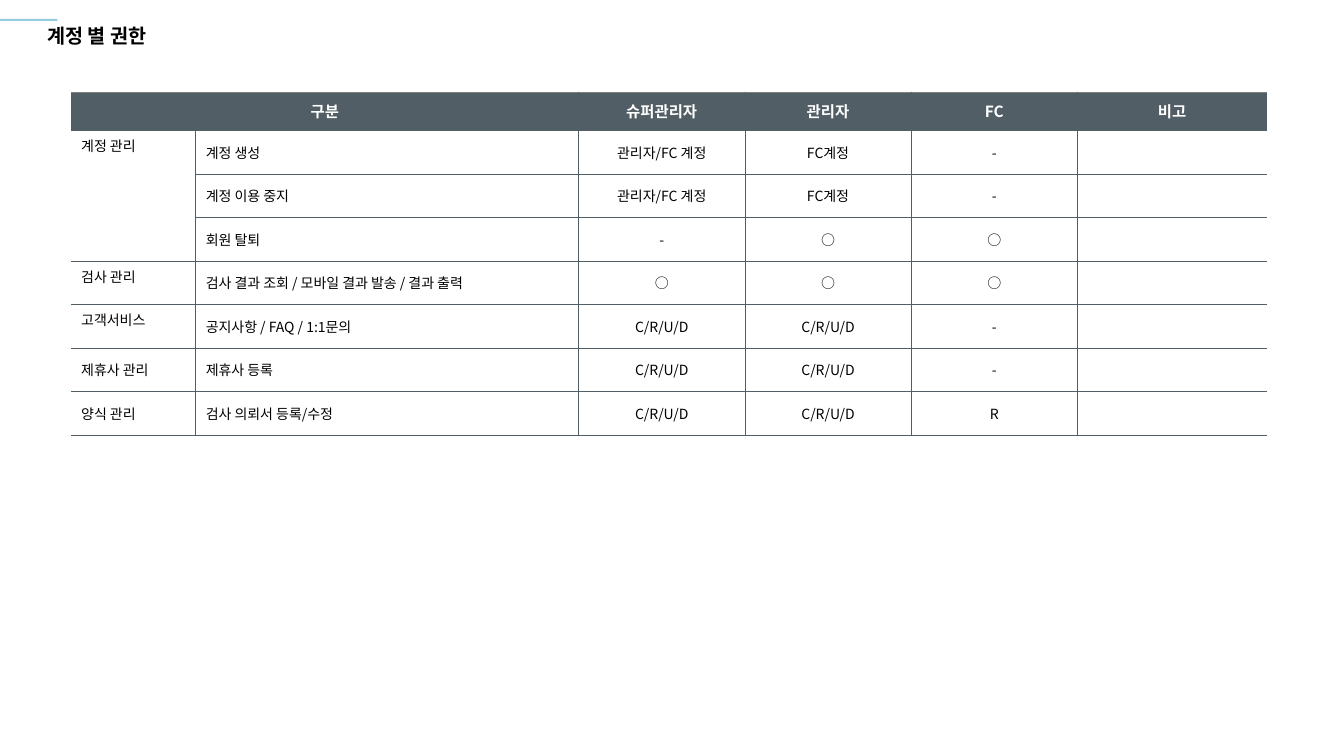
from lxml import etree
from pptx import Presentation
from pptx.dml.color import RGBColor
from pptx.enum.shapes import MSO_SHAPE
from pptx.enum.text import MSO_ANCHOR, PP_ALIGN
from pptx.oxml.ns import qn
from pptx.util import Pt

RECTANGLE = MSO_SHAPE.RECTANGLE
TOP, MIDDLE = MSO_ANCHOR.TOP, MSO_ANCHOR.MIDDLE
LEFT, CENTER = PP_ALIGN.LEFT, PP_ALIGN.CENTER

FONT = "Noto Sans CJK KR"
SLATE, GRAY, AQUA = "515E65", "808080", "93CDDD"
BLACK, WHITE = "000000", "FFFFFF"


def style_text(paragraph, size, color, bold, align):
    """Set the font, for Latin and Korean script, and the alignment."""
    paragraph.alignment = align
    font = paragraph.font
    font.name, font.size, font.bold = FONT, Pt(size), bold
    font.color.rgb = RGBColor.from_string(color)
    properties = paragraph._p.get_or_add_pPr().find(qn("a:defRPr"))
    east_asian = etree.Element(qn("a:ea"), typeface=FONT)
    properties.find(qn("a:latin")).addnext(east_asian)


def set_borders(cell, borders):
    """Draw the borders, given as (side, color, points); no color means none."""
    properties = cell._tc.get_or_add_tcPr()
    for position, (side, color, points) in enumerate(borders):
        line = etree.Element(qn("a:ln" + side), w=str(Pt(points)))
        if color:
            fill = etree.SubElement(line, qn("a:solidFill"))
            etree.SubElement(fill, qn("a:srgbClr"), val=color)
        else:
            etree.SubElement(line, qn("a:noFill"))
        properties.insert(position, line)


presentation = Presentation()
presentation.slide_width, presentation.slide_height = Pt(960), Pt(540)
slide = presentation.slides.add_slide(presentation.slide_layouts[5])

accent = slide.shapes.add_shape(RECTANGLE, 0, Pt(13.5), Pt(41), Pt(1.5))
accent.shadow.inherit = False
accent.fill.solid()
accent.fill.fore_color.rgb = RGBColor.from_string(AQUA)
accent.line.fill.background()

title = slide.shapes.title
title.left, title.top, title.width, title.height = Pt(26.6), Pt(15), Pt(902), Pt(23)
title.text_frame.text = "계정 별 권한"
title.text_frame.vertical_anchor = MIDDLE
title.text_frame.paragraphs[0].line_spacing = 0.9
style_text(title.text_frame.paragraphs[0], 14, BLACK, True, LEFT)

ACCOUNTS, CRUD, YES, NO = "관리자/FC 계정", "C/R/U/D", "○", "-"
permission_rows = [
    ["구분", "", "슈퍼관리자", "관리자", "FC", "비고"],
    ["계정 관리", "계정 생성", ACCOUNTS, "FC계정", NO, ""],
    ["", "계정 이용 중지", ACCOUNTS, "FC계정", NO, ""],
    ["", "회원 탈퇴", NO, YES, YES, ""],
    ["검사 관리", "검사 결과 조회 / 모바일 결과 발송 / 결과 출력", YES, YES, YES, ""],
    ["고객서비스", "공지사항 / FAQ / 1:1문의", CRUD, CRUD, NO, ""],
    ["제휴사 관리", "제휴사 등록", CRUD, CRUD, NO, ""],
    ["양식 관리", "검사 의뢰서 등록/수정", CRUD, CRUD, "R", ""],
]
column_widths = [89, 273.5, 118.8, 118.8, 118.8, 135.3]
HEADER_HEIGHT, ROW_HEIGHT = 27.6, 31.1
TOP_ALIGNED_ROWS = range(1, 6)
last_column = len(column_widths) - 1

table = slide.shapes.add_table(
    len(permission_rows), len(column_widths), Pt(50.8), Pt(65.5), Pt(sum(column_widths)),
    Pt(HEADER_HEIGHT + ROW_HEIGHT * (len(permission_rows) - 1))).table
table.first_row = table.horz_banding = False
for column, width in zip(table.columns, column_widths):
    column.width = Pt(width)

for r, entries in enumerate(permission_rows):
    is_header = r == 0
    table.rows[r].height = Pt(HEADER_HEIGHT if is_header else ROW_HEIGHT)
    for c, entry in enumerate(entries):
        cell = table.cell(r, c)
        cell.text = entry
        cell.fill.solid()
        cell.fill.fore_color.rgb = RGBColor.from_string(SLATE if is_header else WHITE)
        cell.vertical_anchor = TOP if c == 0 and r in TOP_ALIGNED_ROWS else MIDDLE
        paragraph = cell.text_frame.paragraphs[0]
        if is_header:
            cell.margin_left = cell.margin_right = Pt(4.3)
            style_text(paragraph, 11, WHITE, True, CENTER)
        else:
            style_text(paragraph, 10, BLACK, False, LEFT if c < 2 else CENTER)
        set_borders(cell, [
            ("L", SLATE if c > 0 else None, 0.5),
            ("R", SLATE if c < last_column else None, 0.5),
            ("T", GRAY if is_header else SLATE, 0.25 if is_header else 0.5),
            ("B", SLATE, 0.5),
        ])

table.cell(0, 0).merge(table.cell(0, 1))
table.cell(1, 0).merge(table.cell(3, 0))

presentation.save("out.pptx")
